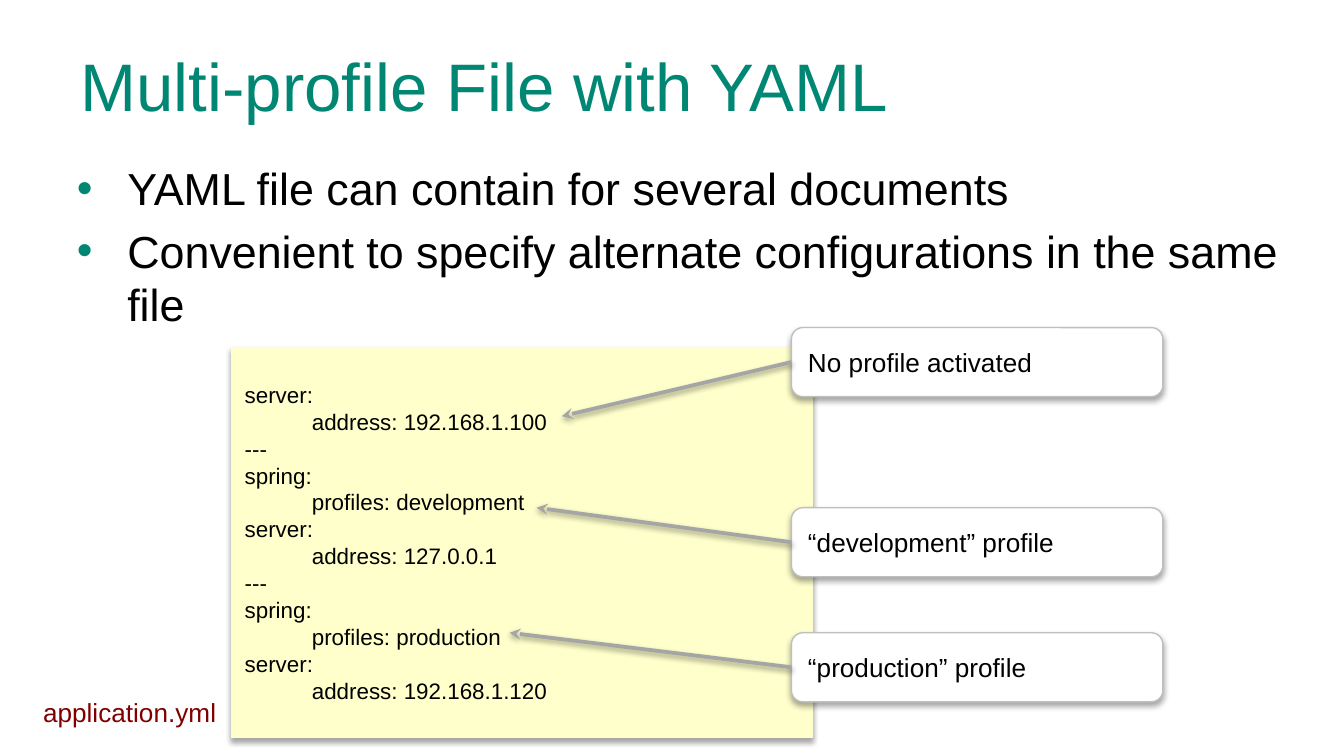
import pptx
import pptx.util
import pptx.dml.color
import pptx.enum.shapes
import pptx.enum.text
import pptx.oxml
import pptx.oxml.ns

Pt = pptx.util.Pt
kinds = pptx.enum.shapes.MSO_SHAPE
anchor = pptx.enum.text.MSO_ANCHOR
left = pptx.enum.text.PP_ALIGN.LEFT
space = pptx.oxml.ns.nsdecls("a")


def paint(part, tint):
    if hasattr(part, "solid"):
        part.solid()
        part = part.fore_color
    part.rgb = pptx.dml.color.RGBColor.from_string(tint)


def write(frame, lines, size, tint):
    frame.word_wrap = True
    frame.auto_size = pptx.enum.text.MSO_AUTO_SIZE.NONE
    for i, line in enumerate(lines):
        para = frame.add_paragraph() if i else frame.paragraphs[0]
        para.alignment = left
        run = para.add_run()
        run.text = line
        run.font.size = Pt(size)
        run.font.name = "Arial"
        paint(run.font.color, tint)


deck = pptx.Presentation()
deck.slide_width = Pt(720)
deck.slide_height = Pt(405)
slide = deck.slides.add_slide(deck.slide_layouts[1])
shapes = slide.shapes

title = shapes.title
title.left, title.top, title.width, title.height = Pt(36), Pt(16.5), Pt(648), Pt(68)
frame = title.text_frame
frame.vertical_anchor = anchor.TOP
frame.margin_top = frame.margin_bottom = Pt(7.2)
write(frame, ["Multi-profile File with YAML"], 36, "008774")

body = slide.placeholders[1]
body.left, body.top, body.width, body.height = Pt(34), Pt(82.5), Pt(673), Pt(270)
points = [
    "YAML file can contain for several documents",
    "Convenient to specify alternate configurations in the same file",
]
write(body.text_frame, points, 24, "000000")
for para in body.text_frame.paragraphs:
    para.space_before = Pt(4.8)
    props = para._p.get_or_add_pPr()
    props.set("marL", str(Pt(27)))
    props.set("indent", str(Pt(-27)))
    for mark in (
        f'<a:buClr {space}><a:srgbClr val="008774"/></a:buClr>',
        f'<a:buChar {space} char="•"/>',
    ):
        props.append(pptx.oxml.parse_xml(mark))

code = [
    "server:",
    "\taddress: 192.168.1.100",
    "---",
    "spring:",
    "\tprofiles: development",
    "server:",
    "\taddress: 127.0.0.1",
    "---",
    "spring:",
    "\tprofiles: production",
    "server:",
    "\taddress: 192.168.1.120",
]
notes = [
    (175.5, "No profile activated", 301, 223),
    (272, "“development” profile", 287.5, 272),
    (339, "“production” profile", 273, 339),
]
boxes = [(kinds.RECTANGLE, 124, 186, 311, 209, "FFFFCC", "FFFFCC", code, 12)]
for top, text, _, _ in notes:
    boxes.append((kinds.ROUNDED_RECTANGLE, 424, top, 199, 37, "FFFFFF", "BFBFBF", [text], 14))

cast = []
cards = []
for kind, x, y, wide, high, fill, edge, lines, size in boxes:
    card = shapes.add_shape(kind, Pt(x), Pt(y), Pt(wide), Pt(high))
    paint(card.fill, fill)
    paint(card.line.fill, edge)
    card.line.width = Pt(0.75)
    card.text_frame.vertical_anchor = anchor.MIDDLE
    write(card.text_frame, lines, size, "000000")
    cards.append(card)
    cast.append((card, 1.8, 35))

for card, (_, _, x, y) in zip(cards[1:], notes):
    arrow = shapes.add_connector(
        pptx.enum.shapes.MSO_CONNECTOR.STRAIGHT,
        card.left, card.top + card.height // 2, Pt(x), Pt(y),
    )
    arrow.begin_connect(card, 1)
    paint(arrow.line.fill, "A5A5A5")
    arrow.line.width = Pt(2)
    stroke = arrow.element.spPr.find(pptx.oxml.ns.qn("a:ln"))
    stroke.append(pptx.oxml.parse_xml(f'<a:tailEnd {space} type="stealth"/>'))
    cast.append((arrow, 1.6, 38))

for item, drop, dark in cast:
    item.element.spPr.append(pptx.oxml.parse_xml(
        f'<a:effectLst {space}><a:outerShdw blurRad="{Pt(3.1)}" dist="{Pt(drop)}" '
        f'dir="5400000" rotWithShape="0"><a:srgbClr val="000000">'
        f'<a:alpha val="{dark * 1000}"/></a:srgbClr></a:outerShdw></a:effectLst>'
    ))

label = shapes.add_textbox(Pt(16), Pt(369.5), Pt(108), Pt(24.5))
write(label.text_frame, ["application.yml"], 14, "800000")

deck.save("out.pptx")
